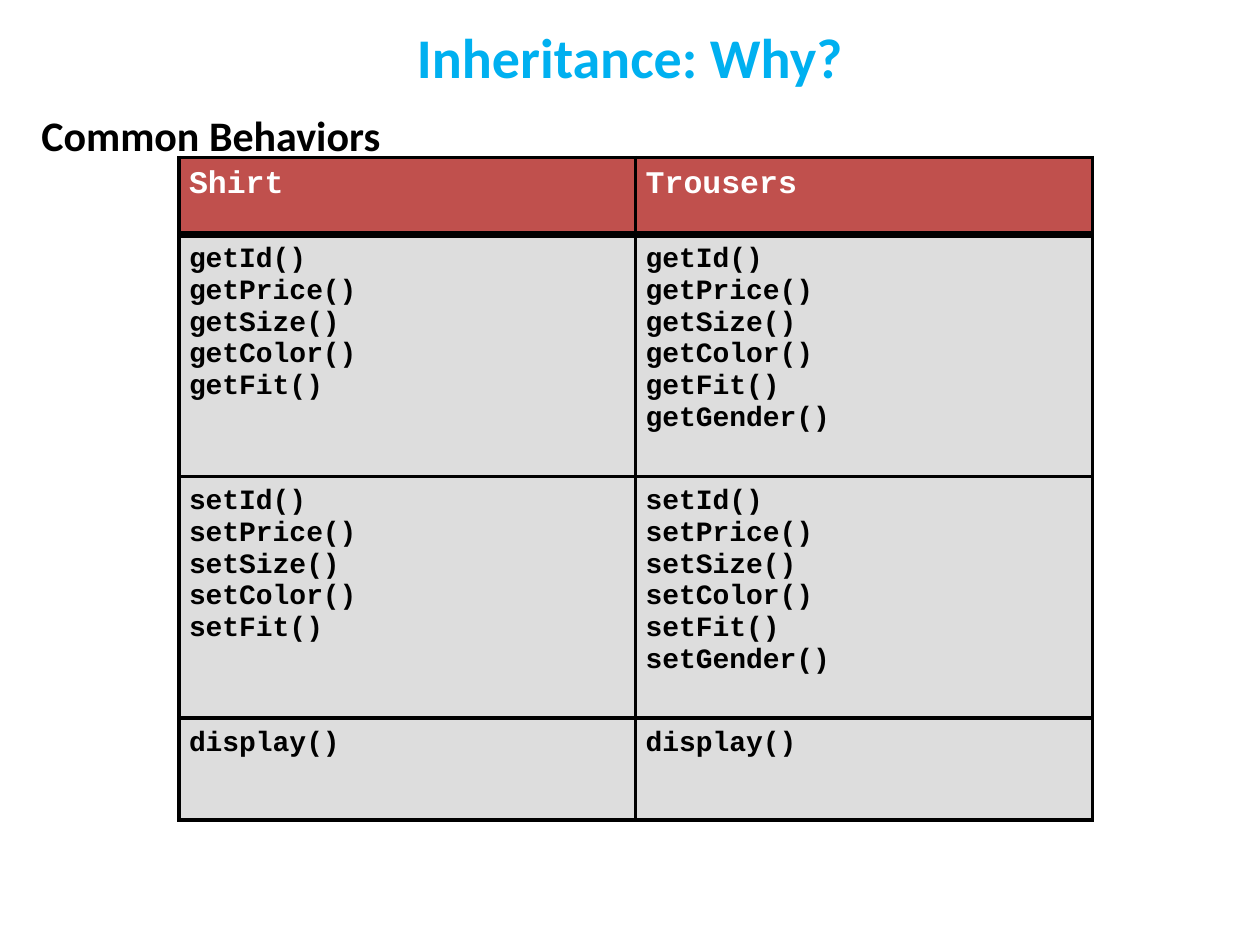
from dataclasses import dataclass

from lxml import etree
from pptx import Presentation
from pptx import util as u
from pptx.dml.color import RGBColor
from pptx.enum import text
from pptx.oxml.ns import qn


@dataclass(frozen=True)
class Theme:
    heading_font: str = "Calibri"
    code_font: str = "Courier New"
    title_size: int = 32
    subtitle_size: int = 24
    header_size: int = 18
    code_size: int = 16
    accent: str = "00B0F0"
    black: str = "000000"
    white: str = "FFFFFF"
    header_fill: str = "C0504D"
    body_fill: str = "DDDDDD"
    thin: float = 2.25
    thick: float = 4.5


THEME = Theme()
WIDTH, HEIGHT = u.Inches(10), u.Inches(7.5)
COLUMN_WIDTH = 3.625
ROW_HEIGHTS = (0.61, 1.92, 1.92, 0.81)
SHARED = ("Id", "Price", "Size", "Color", "Fit")
CLASSES = {"Shirt": SHARED, "Trousers": SHARED + ("Gender",)}


def style(p, font, size, color):
    p.font.name = font
    p.font.size = u.Pt(size)
    p.font.bold = True
    p.font.color.rgb = RGBColor.from_string(color)


def add_heading(slide, words, left, top, inset, size, color, align):
    """Add a heading line; left and top are shares of the slide's size."""
    sp = slide.shapes.add_textbox(int(WIDTH * left), int(HEIGHT * top),
                                  int(WIDTH * 0.9), int(HEIGHT * 0.064))
    tf = sp.text_frame
    tf.word_wrap = True
    tf.vertical_anchor = text.MSO_ANCHOR.TOP
    tf.margin_top, tf.margin_bottom = u.Inches(inset), 0
    p = tf.paragraphs[0]
    p.text = words
    p.alignment = align
    style(p, THEME.heading_font, size, color)


def set_borders(cell, **widths):
    """Draw the cell's edges; lines have to come before the fill in tcPr."""
    tcPr = cell._tc.get_or_add_tcPr()
    for i, (edge, width) in enumerate(widths.items()):
        ln = etree.Element(qn(f"a:ln{edge}"), w=str(u.Pt(width)))
        fill = etree.SubElement(ln, qn("a:solidFill"))
        etree.SubElement(fill, qn("a:srgbClr"), val=THEME.black)
        tcPr.insert(i, ln)


def fill_cell(cell, lines, size, color, fill):
    cell.margin_left = cell.margin_right = u.Inches(0.08)
    cell.margin_top = cell.margin_bottom = u.Inches(0.08)
    cell.fill.solid()
    cell.fill.fore_color.rgb = RGBColor.from_string(fill)
    tf = cell.text_frame
    tf.text = "\n".join(lines)
    for p in tf.paragraphs:
        style(p, THEME.code_font, size, color)


def methods(prefix, fields):
    return [f"{prefix}{field}()" for field in fields]


def add_behavior_table(slide):
    columns = [([name], methods("get", fields), methods("set", fields), ["display()"])
               for name, fields in CLASSES.items()]
    frame = slide.shapes.add_table(
        len(ROW_HEIGHTS), len(columns), u.Inches(1.42), u.Inches(1.25),
        u.Inches(COLUMN_WIDTH * len(columns)), u.Inches(sum(ROW_HEIGHTS)))
    table = frame.table
    table.horz_banding = False
    for row, height in zip(table.rows, ROW_HEIGHTS):
        row.height = u.Inches(height)
    header = (THEME.header_size, THEME.white, THEME.header_fill)
    body = (THEME.code_size, THEME.black, THEME.body_fill)
    for c, column in enumerate(columns):
        for r, lines in enumerate(column):
            cell = table.cell(r, c)
            fill_cell(cell, lines, *(body if r else header))
            set_borders(cell, L=THEME.thin, R=THEME.thin,
                        T=THEME.thick if r == 1 else THEME.thin,
                        B=THEME.thick if r == 0 else THEME.thin)


def main():
    prs = Presentation()
    prs.slide_width, prs.slide_height = WIDTH, HEIGHT
    slide = prs.slides.add_slide(prs.slide_layouts[6])
    add_behavior_table(slide)
    add_heading(slide, "Inheritance: Why?", 0.05, 0.01, 0.1,
                THEME.title_size, THEME.accent, text.PP_ALIGN.CENTER)
    add_heading(slide, "Common Behaviors", 0.023, 0.093, 0.17,
                THEME.subtitle_size, THEME.black, text.PP_ALIGN.LEFT)
    prs.save("out.pptx")


if __name__ == "__main__":
    main()
